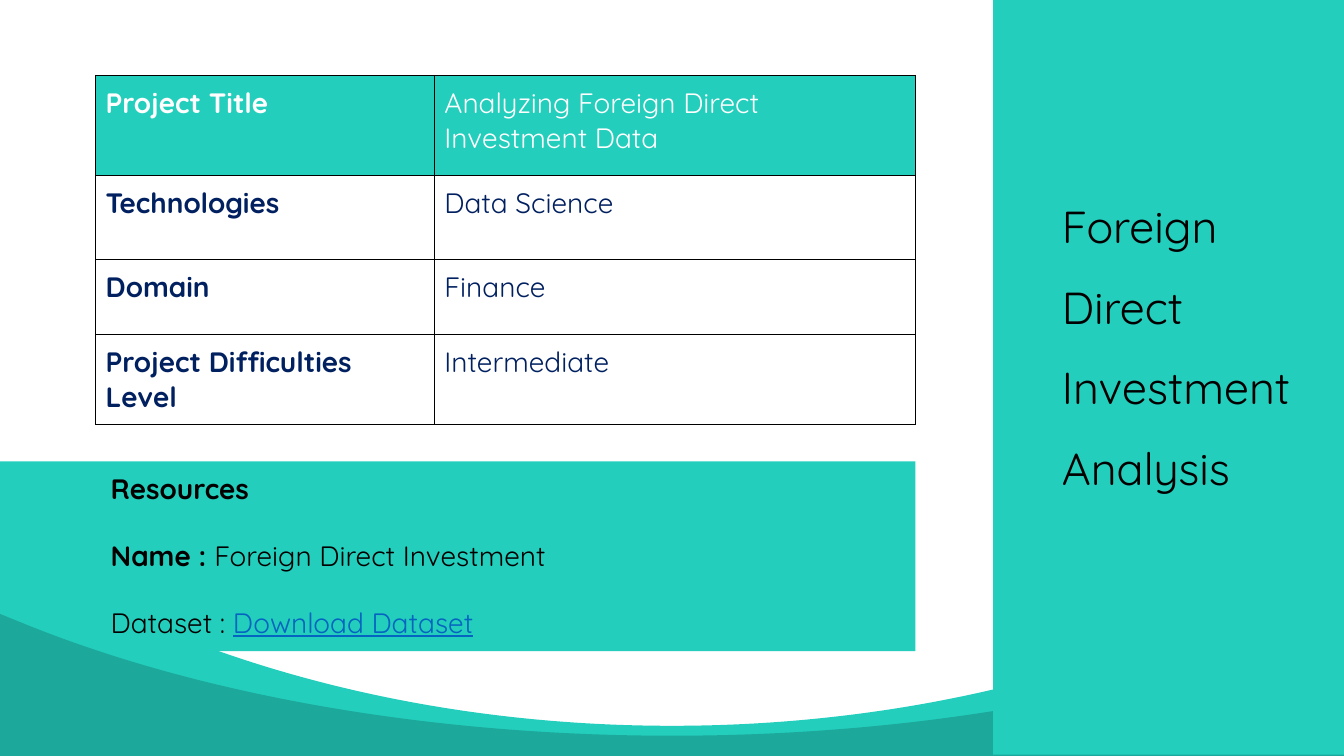
from lxml.etree import SubElement
from pptx import Presentation
from pptx.dml.color import RGBColor
from pptx.enum.shapes import MSO_SHAPE as Shape
from pptx.enum.text import MSO_ANCHOR as Anchor, PP_ALIGN as Align
from pptx.oxml.ns import qn
from pptx.util import Cm, Pt

WIDE, HIGH = 33.87, 19.05
TEAL, DARK, NAVY, BLUE = "23CEBC", "1CA89B", "002060", "0563C1"
BLACK, WHITE = "000000", "FFFFFF"


def tint(code):
    return RGBColor.from_string(code)


def style(font, size, color, bold=False):
    font.name = "Quicksand"
    font.size = Pt(size)
    font.bold = bold
    font.color.rgb = tint(color)


def paint(shape, color):
    shape.shadow.inherit = False
    shape.fill.solid()
    shape.fill.fore_color.rgb = tint(color)
    shape.line.fill.background()


def pad(frame, gap):
    frame.margin_left = frame.margin_right = Cm(gap)
    frame.margin_top = frame.margin_bottom = Cm(gap)


def block(slide, box, color):
    shape = slide.shapes.add_shape(Shape.RECTANGLE, *map(Cm, box))
    paint(shape, color)
    return shape


def bend(shape, first):
    """Turn three line points, from the given one on, into one curve."""
    lines = list(shape._element.iter(qn("a:lnTo")))[first:first + 3]
    curve = lines[0].getparent().makeelement(qn("a:cubicBezTo"))
    lines[0].addprevious(curve)
    for line in lines:
        curve.append(line[0])
        line.getparent().remove(line)


def wave(slide, top, dip, color):
    """Fill the foot of the slide below a symmetric sagging curve."""
    left = [(0, top), (0.64, top + dip * 0.085), (4.93, top + dip * 0.65),
            (10.67, top + dip), (WIDE / 2, top + dip)]
    right = [(WIDE - x, y) for x, y in reversed(left[:-1])]
    points = [(Cm(x), Cm(y))
              for x, y in left + right + [(WIDE, HIGH), (0, HIGH)]]
    pen = slide.shapes.build_freeform(*points[0])
    pen.add_line_segments(points[1:], close=True)
    shape = pen.convert_to_shape()
    # Right half first, so that the left count still holds
    bend(shape, 4)
    bend(shape, 1)
    paint(shape, color)


def border(cell):
    props = cell._tc.get_or_add_tcPr()
    for side in ("lnL", "lnR", "lnT", "lnB"):
        line = SubElement(props, qn("a:" + side), w=str(Pt(1)))
        fill = SubElement(line, qn("a:solidFill"))
        SubElement(fill, qn("a:srgbClr"), val=BLACK)


def facts(slide, box):
    rows = (
        ("Project Title", "Analyzing Foreign Direct Investment Data"),
        ("Technologies", "Data Science"),
        ("Domain", "Finance"),
        ("Project Difficulties Level", "Intermediate"),
    )
    grid = slide.shapes.add_table(len(rows), 2, *map(Cm, box)).table
    first = 8.54
    for col, wide in zip(grid.columns, (first, box[2] - first)):
        col.width = Cm(wide)
    for row, high in zip(grid.rows, (2.52, 2.11, 1.9, 1.8)):
        row.height = Cm(high)
    for r, texts in enumerate(rows):
        for c, text in enumerate(texts):
            cell = grid.cell(r, c)
            border(cell)
            cell.fill.solid()
            cell.fill.fore_color.rgb = tint(WHITE if r else TEAL)
            pad(cell, 0.25)
            cell.text = text
            style(cell.text_frame.paragraphs[0].font, 20,
                  NAVY if r else WHITE, bold=c == 0)


def sources(slide, box):
    frame = block(slide, box, TEAL).text_frame
    frame.word_wrap = True
    frame.vertical_anchor = Anchor.TOP
    pad(frame, 0.25)
    # Text, bold, link look
    lines = (
        [("Resources", True, False)],
        [("Name : ", True, False), ("Foreign Direct Investment", False, False)],
        [("Dataset : ", False, False), ("Download Dataset", False, True)],
    )
    for i, parts in enumerate(lines):
        para = frame.add_paragraph() if i else frame.paragraphs[0]
        para.alignment = Align.LEFT
        props = para._p.get_or_add_pPr()
        props.set("marL", "0")
        props.set("indent", str(Cm(2.54)))
        if i:
            para.space_before = Pt(23.7)
        style(para.font, 20, BLACK, bold=parts[0][1])
        for text, bold, link in parts:
            run = para.add_run()
            run.text = text
            if bold != parts[0][1]:
                run.font.bold = bold
            if link:
                run.font.underline = True
                run.font.color.rgb = tint(BLUE)


def side(slide, box):
    left, top, wide, _ = box
    block(slide, box, TEAL)
    # Title inside the panel
    area = (left + 1.73, top + 4.33, wide - 2.02, 9.52)
    frame = slide.shapes.add_textbox(*map(Cm, area)).text_frame
    frame.word_wrap = True
    pad(frame, 0)
    frame.text = "Foreign Direct Investment\nAnalysis"
    for para in frame.paragraphs:
        para.line_spacing = 1.5
        style(para.font, 32, BLACK)


def main():
    deck = Presentation()
    deck.slide_width, deck.slide_height = Cm(WIDE), Cm(HIGH)
    slide = deck.slides.add_slide(deck.slide_layouts[6])
    wave(slide, 13.77, 4.52, TEAL)
    facts(slide, (2.41, 1.9, 20.66, 8.33))
    sources(slide, (0, 11.63, 23.07, 4.78))
    wave(slide, 15.47, 3.07, DARK)
    side(slide, (25.03, 0, 8.84, 19.02))
    deck.save("out.pptx")


if __name__ == "__main__":
    main()
